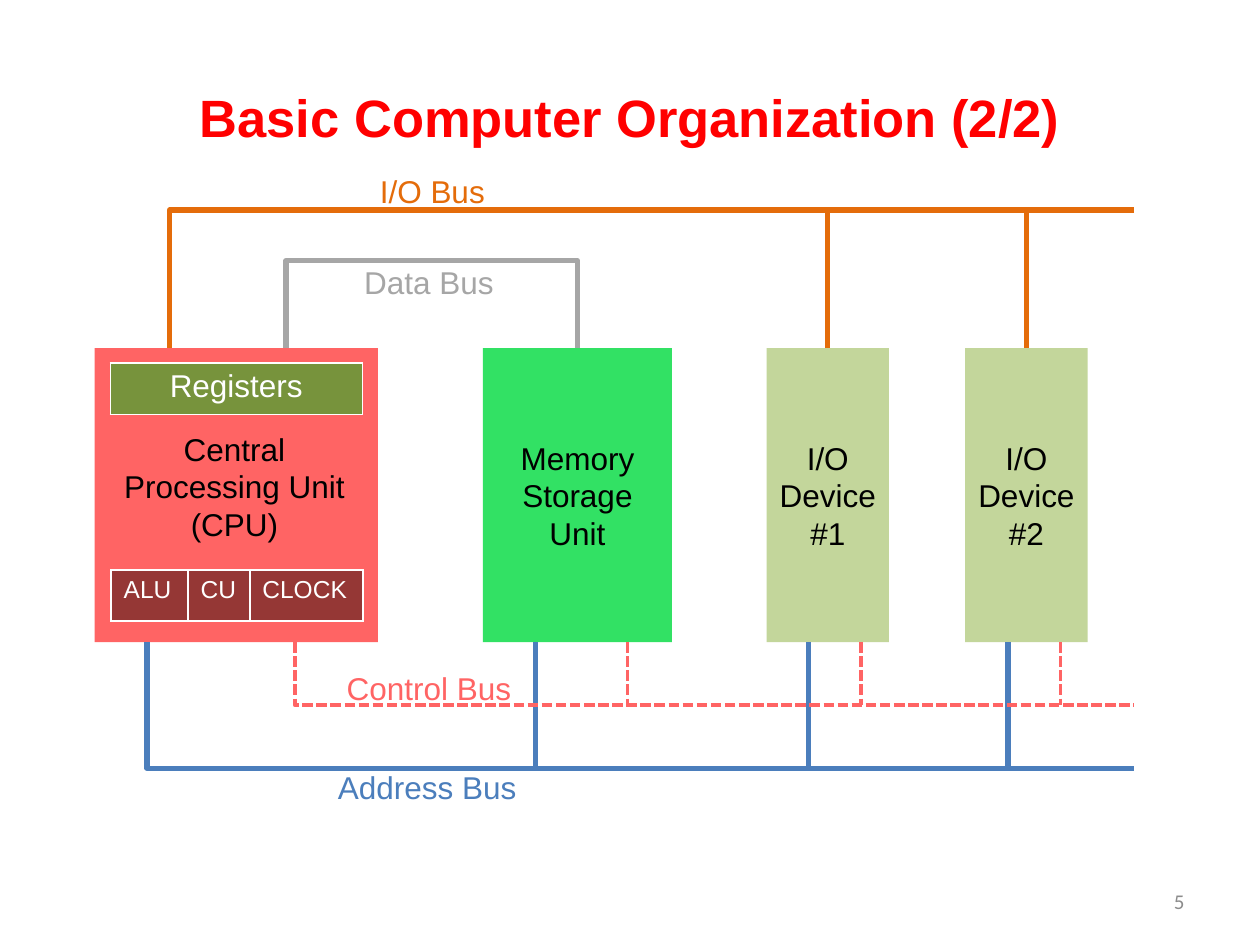
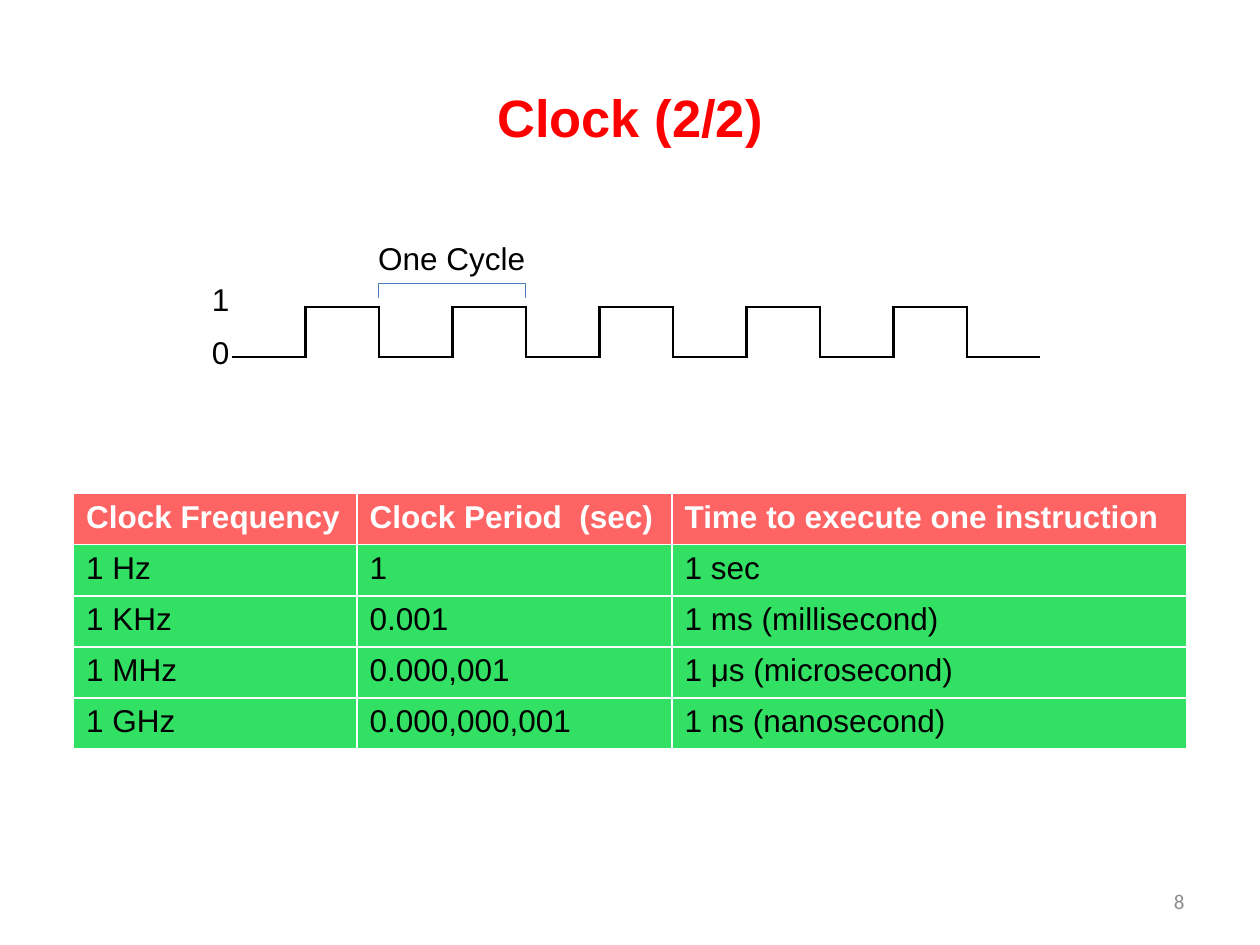
from dataclasses import dataclass
from itertools import pairwise

from lxml.etree import SubElement
from pptx import Presentation
from pptx.dml.color import RGBColor
from pptx.enum.dml import MSO_LINE
from pptx.enum.shapes import MSO_CONNECTOR as Connector, MSO_SHAPE as Preset
from pptx.enum.text import MSO_ANCHOR as Anchor, PP_ALIGN as Align
from pptx.oxml.ns import qn
from pptx.util import Pt

COLOURS = {
    "title": "FF0000",
    "cpu": "FF6464",
    "memory": "32E164",
    "device": "C3D69B",
    "registers": "77933C",
    "cpu part": "953735",
    "io bus": "E46C0A",
    "data bus": "A6A6A6",
    "address bus": "4B7EBC",
    "control bus": "FF6464",
    "number": "8C8C8C",
    "black": "000000",
    "white": "FFFFFF",
}
ROW_HEIGHT = 29.25
BLOCK_TOP, BLOCK_HEIGHT = 199, 168
BLOCK_BOTTOM = BLOCK_TOP + BLOCK_HEIGHT
BUS_END = 648
IO_Y, DATA_Y, CONTROL_Y, ADDRESS_Y = 120, 149, 403, 439


@dataclass(frozen=True)
class Pen:
    colour: str
    width: float
    dash: MSO_LINE | None = None


@dataclass(frozen=True)
class Label:
    text: str
    left: float
    top: float
    width: float
    colour: str = "black"
    height: float = 29
    align: Align = Align.LEFT


@dataclass(frozen=True)
class Block:
    text: str
    left: float
    width: float
    colour: str
    address_tap: float
    control_tap: float
    on_io_bus: bool = False


IO_PEN = Pen("io bus", 3)
DATA_PEN = Pen("data bus", 3)
ADDRESS_PEN = Pen("address bus", 3)
CONTROL_PEN = Pen("control bus", 2, MSO_LINE.SQUARE_DOT)
CYCLE_PEN = Pen("address bus", 0.75)
WAVE_PEN = Pen("black", 1.5)

CPU = Block("", 54, 162, "cpu", 30, 114.5)
UNITS = [
    Block("Memory Storage Unit", 276, 108, "memory", 30, 82.5),
    Block("I/O Device #1", 438, 70, "device", 24, 54, True),
    Block("I/O Device #2", 551.5, 70, "device", 24.5, 54.5, True),
]
DIAGRAM_LABELS = [
    Label("Central\nProcessing Unit\n(CPU)", 63, 242, 142, height=73, align=Align.CENTER),
    Label("I/O Bus", 210, 95, 75, "io bus"),
    Label("Data Bus", 201, 147, 89, "data bus"),
    Label("Control Bus", 191, 379, 109, "control bus"),
    Label("Address Bus", 186, 435.5, 117, "address bus"),
]
CLOCK_LABELS = [
    Label("1", 114, 156.5, 24),
    Label("0", 114, 187, 24),
    Label("One Cycle", 209, 133, 99),
]
CLOCK_ROWS = [
    ["Clock Frequency", "Clock Period  (sec)", "Time to execute one instruction"],
    ["1 Hz", "1", "1 sec"],
    ["1 KHz", "0.001", "1 ms (millisecond)"],
    ["1 MHz", "0.000,001", "1 μs (microsecond)"],
    ["1 GHz", "0.000,000,001", "1 ns (nanosecond)"],
]


def rgb(colour: str) -> RGBColor:
    return RGBColor.from_string(COLOURS[colour])


def write(frame, text: str, colour: str, size: float = 18, bold: bool = False,
          align: Align = Align.LEFT, name: str = "Arial") -> None:
    frame.text = text
    for paragraph in frame.paragraphs:
        paragraph.alignment = align
        font = paragraph.font
        font.name, font.size, font.bold = name, Pt(size), bold
        font.color.rgb = rgb(colour)


def add_slide(presentation, title_text: str, number: int):
    slide = presentation.slides.add_slide(presentation.slide_layouts[5])
    title = slide.shapes.title
    title.left, title.top, title.width, title.height = Pt(36), Pt(21.6), Pt(648), Pt(90)
    title.text_frame.vertical_anchor = Anchor.MIDDLE
    write(title.text_frame, title_text, "title", 30, True, Align.CENTER)
    number_box = slide.shapes.add_textbox(Pt(516), Pt(500.5), Pt(168), Pt(28.75))
    number_box.text_frame.vertical_anchor = Anchor.MIDDLE
    write(number_box.text_frame, str(number), "number", 12, align=Align.RIGHT, name="Calibri")
    return slide


def add_line(slide, pen: Pen, x1: float, y1: float, x2: float, y2: float,
             bend: int | None = None):
    kind = Connector.STRAIGHT if bend is None else Connector.ELBOW
    connector = slide.shapes.add_connector(kind, Pt(x1), Pt(y1), Pt(x2), Pt(y2))
    connector.line.color.rgb = rgb(pen.colour)
    connector.line.width = Pt(pen.width)
    if pen.dash is not None:
        connector.line.dash_style = pen.dash
    properties = connector._element.spPr
    SubElement(properties, qn("a:effectLst"))
    if bend is not None:
        adjustments = properties.find(qn("a:prstGeom")).get_or_add_avLst()
        SubElement(adjustments, qn("a:gd"), name="adj1", fmla=f"val {bend}")
    return connector


def add_bracket(slide, pen: Pen, left: float, right: float, top: float, bottom: float) -> None:
    middle = (left + right) / 2
    add_line(slide, pen, left, bottom, middle, top, bend=0)
    add_line(slide, pen, middle, top, right, bottom, bend=100000)


def add_label(slide, label: Label) -> None:
    box = slide.shapes.add_textbox(Pt(label.left), Pt(label.top), Pt(label.width), Pt(label.height))
    box.text_frame.word_wrap = False
    write(box.text_frame, label.text, label.colour, align=label.align)


def add_block(slide, block: Block):
    shape = slide.shapes.add_shape(
        Preset.RECTANGLE, Pt(block.left), Pt(BLOCK_TOP), Pt(block.width), Pt(BLOCK_HEIGHT))
    shape.shadow.inherit = False
    shape.fill.solid()
    shape.fill.fore_color.rgb = rgb(block.colour)
    shape.line.fill.background()
    if block.text:
        frame = shape.text_frame
        frame.word_wrap = True
        frame.vertical_anchor = Anchor.MIDDLE
        frame.margin_left = frame.margin_right = Pt(5)
        write(frame, block.text, "black", align=Align.CENTER)
    return shape


def add_table(slide, left: float, top: float, widths: list[float], rows: list[list[str]],
              header_fill: str, size: float = 18, bold: bool = False,
              align: Align = Align.LEFT) -> None:
    table = slide.shapes.add_table(
        len(rows), len(widths), Pt(left), Pt(top),
        Pt(sum(widths)), Pt(ROW_HEIGHT * len(rows))).table
    table.horz_banding = False
    for column, width in zip(table.columns, widths):
        column.width = Pt(width)
    for row_index, row in enumerate(rows):
        table.rows[row_index].height = Pt(ROW_HEIGHT)
        header = row_index == 0
        for column_index, text in enumerate(row):
            cell = table.cell(row_index, column_index)
            cell.fill.solid()
            cell.fill.fore_color.rgb = rgb(header_fill if header else "memory")
            write(cell.text_frame, text, "white" if header else "black",
                  size, bold and header, align)


def build_organization(presentation) -> None:
    slide = add_slide(presentation, "Basic Computer Organization (2/2)", 5)
    add_bracket(slide, DATA_PEN, 163.5, 330, DATA_Y, BLOCK_TOP)
    add_block(slide, CPU)
    shapes = [add_block(slide, unit) for unit in UNITS]
    add_line(slide, IO_PEN, 97, BLOCK_TOP, BUS_END, IO_Y, bend=0)
    for pen, tap, bus_y in ((ADDRESS_PEN, "address_tap", ADDRESS_Y),
                            (CONTROL_PEN, "control_tap", CONTROL_Y)):
        add_line(slide, pen, CPU.left + getattr(CPU, tap), BLOCK_BOTTOM, BUS_END, bus_y, bend=0)
        for unit in UNITS:
            x = unit.left + getattr(unit, tap)
            add_line(slide, pen, x, BLOCK_BOTTOM, x, bus_y)
    for unit, shape in zip(UNITS, shapes):
        if unit.on_io_bus:
            x = unit.left + unit.width / 2
            add_line(slide, IO_PEN, x, BLOCK_TOP, x, IO_Y).begin_connect(shape, 0)
    add_table(slide, 63, 207.5, [144], [["Registers"]], "registers", align=Align.CENTER)
    add_table(slide, 63.5, 325.75, [44, 35.25, 64.75], [["ALU", "CU", "CLOCK"]], "cpu part", 14)
    for label in DIAGRAM_LABELS:
        add_label(slide, label)


def build_clock(presentation) -> None:
    slide = add_slide(presentation, "Clock (2/2)", 8)
    low, high, start, half_cycle = 204, 175.5, 132.5, 42
    edges = [start + half_cycle * index for index in range(12)]
    for index, (left, right) in enumerate(pairwise(edges)):
        level = high if index % 2 else low
        add_line(slide, WAVE_PEN, left, level, right, level)
    for x in edges[1:-1]:
        add_line(slide, WAVE_PEN, x, high - 0.5, x, low + 0.5)
    add_bracket(slide, CYCLE_PEN, edges[2], edges[4], 162, 170.5)
    for label in CLOCK_LABELS:
        add_label(slide, label)
    add_table(slide, 42, 282, [162, 180, 294], CLOCK_ROWS, "cpu", bold=True)


def main() -> None:
    presentation = Presentation()
    presentation.slide_width, presentation.slide_height = Pt(720), Pt(540)
    build_organization(presentation)
    build_clock(presentation)
    presentation.save("out.pptx")


if __name__ == "__main__":
    main()
